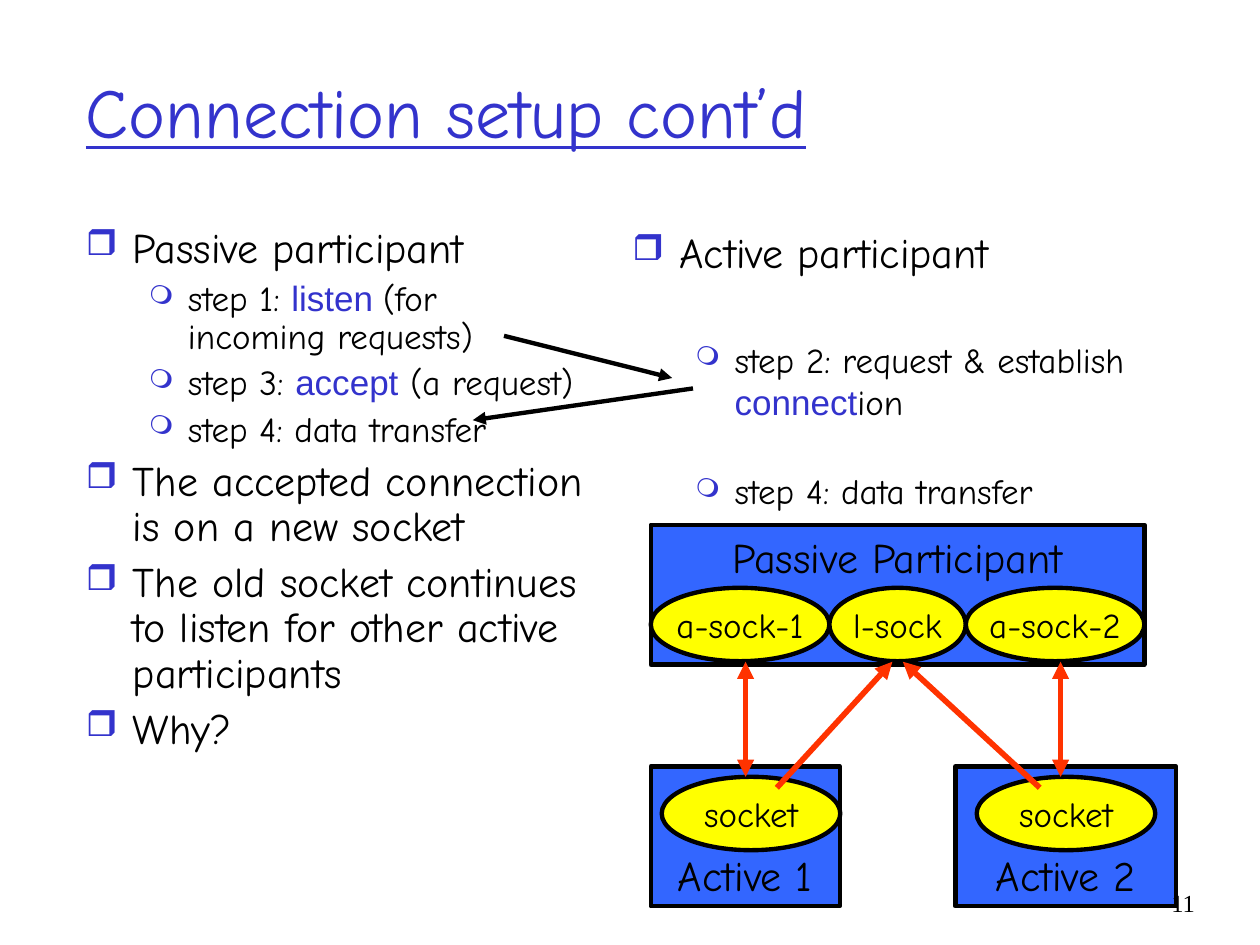
from lxml import etree
from pptx import Presentation
from pptx.dml.color import RGBColor
from pptx.enum.shapes import MSO_CONNECTOR, MSO_SHAPE
from pptx.enum.text import MSO_ANCHOR, PP_ALIGN
from pptx.oxml.ns import qn
from pptx.util import Cm, Pt

RECT, OVAL = MSO_SHAPE.RECTANGLE, MSO_SHAPE.OVAL
STRAIGHT = MSO_CONNECTOR.STRAIGHT
TOP, MIDDLE, BOTTOM = MSO_ANCHOR.TOP, MSO_ANCHOR.MIDDLE, MSO_ANCHOR.BOTTOM
LEFT, CENTER, RIGHT = PP_ALIGN.LEFT, PP_ALIGN.CENTER, PP_ALIGN.RIGHT
HAND, CODE, SERIF = "Comic Neue", "Arial", "Times New Roman"
BLACK, INDIGO, BLUE, YELLOW, RED = "000000", "3333CC", "3366FF", "FFFF00", "FF3300"

# Content: (level, space before in points, runs); odd-numbered runs are socket calls
PASSIVE_STEPS = [
    (0, 6, ["Passive participant"]),
    (1, 5, ["step 1: ", "listen ", "(for incoming requests)"]),
    (1, 5, ["step 3: ", "accept", " (a request)"]),
    (1, 5, ["step 4: data transfer"]),
    (0, 6, ["The accepted connection is on a new socket"]),
    (0, 6, ["The old socket continues to listen for other active participants"]),
    (0, 6, ["Why?"]),
]
ACTIVE_STEPS = [
    (0, 6, ["Active participant"]),
    (1, 35, ["step 2: request & establish ", "connect", "ion"]),
    (1, 27, ["step 4: data transfer"]),
]
# Per level: text size, left margin and hanging indent in cm, bullet, bullet size
LEVELS = [(24, 0.95, 0.95, "\u2752", 85), (20, 2.06, 0.79, "\u274d", 75)]

# Hosts: label, left, top, width, label anchor
HOST_HEIGHT = 2.82
HOSTS = [
    ("Passive Participant", 13.12, 10.58, 9.95, TOP),
    ("Active 1", 13.12, 15.45, 3.81, BOTTOM),
    ("Active 2", 19.26, 15.45, 4.45, BOTTOM),
]
SOCKET_WIDTH, SOCKET_HEIGHT = 3.6, 1.48
PASSIVE_SOCKETS = [("a-sock-1", SOCKET_WIDTH), ("l-sock", 2.75), ("a-sock-2", SOCKET_WIDTH)]
ACTIVE_SOCKET_LEFTS = [13.34, 19.69]

# Arrows: start, end, colour, width, double-headed
ARROWS = [
    ((10.16, 6.77), (13.55, 7.62), BLACK, 2.5, False),
    ((13.97, 7.83), (9.53, 8.47), BLACK, 2.5, False),
    ((15.66, 15.88), (17.99, 13.34), RED, 3.25, False),
    ((15.03, 13.34), (15.03, 15.66), RED, 3.25, True),
    ((20.96, 15.88), (18.2, 13.34), RED, 3.25, False),
    ((21.38, 13.34), (21.38, 15.66), RED, 3.25, True),
]


def color(value):
    return RGBColor.from_string(value)


def set_font(font, size, name=HAND, ink=BLACK):
    font.size, font.name = Pt(size), name
    font.color.rgb = color(ink)


def add_box(left, top, width, height):
    box = slide.shapes.add_textbox(Cm(left), Cm(top), Cm(width), Cm(height))
    box.text_frame.word_wrap = True
    return box.text_frame


def write(frame, text, size, align, anchor, name=HAND, ink=BLACK):
    frame.vertical_anchor = anchor
    line = frame.paragraphs[0]
    line.text, line.alignment = text, align
    set_font(line.font, size, name, ink)
    return line


def add_bullet(paragraph, margin, hanging, char, percent):
    props = paragraph._p.get_or_add_pPr()
    props.set("marL", str(Cm(margin)))
    props.set("indent", str(-Cm(hanging)))
    tint = etree.SubElement(props, qn("a:buClr"))
    etree.SubElement(tint, qn("a:srgbClr"), val=INDIGO)
    etree.SubElement(props, qn("a:buSzPct"), val=str(percent * 1000))
    etree.SubElement(props, qn("a:buChar"), char=char)


def add_steps(steps, left, height, line_spacing):
    frame = add_box(left, 4.45, 10.58, height)
    for i, (level, before, runs) in enumerate(steps):
        step = frame.add_paragraph() if i else frame.paragraphs[0]
        size, *bullet = LEVELS[level]
        step.level = level
        step.space_before, step.line_spacing = Pt(before), line_spacing
        add_bullet(step, *bullet)
        for j, text in enumerate(runs):
            run = step.add_run()
            run.text = text
            set_font(run.font, size, *((CODE, INDIGO) if j % 2 else (HAND, BLACK)))


def add_node(kind, label, left, top, width, height, fill, size, anchor):
    node = slide.shapes.add_shape(kind, Cm(left), Cm(top), Cm(width), Cm(height))
    node.shadow.inherit = False
    node.fill.solid()
    node.fill.fore_color.rgb = color(fill)
    node.line.color.rgb = color(BLACK)
    node.line.width = Pt(2.5)
    node.text_frame.word_wrap = kind == RECT
    write(node.text_frame, label, size, CENTER, anchor)


def add_socket(label, left, top, width):
    add_node(OVAL, label, left, top, width, SOCKET_HEIGHT, YELLOW, 20, MIDDLE)


def add_arrow(start, end, ink, width, double):
    arrow = slide.shapes.add_connector(STRAIGHT, *map(Cm, start + end))
    arrow.line.color.rgb = color(ink)
    arrow.line.width = Pt(width)
    outline = arrow.line._get_or_add_ln()
    for tag in ["a:headEnd", "a:tailEnd"] if double else ["a:tailEnd"]:
        etree.SubElement(outline, qn(tag), type="triangle")
    etree.SubElement(arrow._element.spPr, qn("a:effectLst"))


prs = Presentation()
prs.slide_width, prs.slide_height = Cm(25.4), Cm(19.05)
slide = prs.slides.add_slide(prs.slide_layouts[6])

# Title and the two columns of steps
title = write(add_box(1.48, 0.64, 21.59, 3.18), "Connection setup cont\u2019d",
              40, LEFT, MIDDLE, ink=INDIGO)
title.font.underline = True
add_steps(PASSIVE_STEPS, 1.48, 13.55, 0.9)
add_steps(ACTIVE_STEPS, 12.5, 6.35, 1.0)

# Hosts and their sockets
for label, left, top, width, anchor in HOSTS:
    add_node(RECT, label, left, top, width, HOST_HEIGHT, BLUE, 24, anchor)
socket_left = HOSTS[0][1]
for label, width in PASSIVE_SOCKETS:
    add_socket(label, socket_left, 11.85, width)
    socket_left += width
for left in ACTIVE_SOCKET_LEFTS:
    add_socket("socket", left, 15.66, SOCKET_WIDTH)

# Message and connection arrows
for arrow in ARROWS:
    add_arrow(*arrow)

# Page number
write(add_box(23.07, 17.78, 1.27, 1.27), "11", 14, RIGHT, TOP, SERIF)

prs.save("out.pptx")
